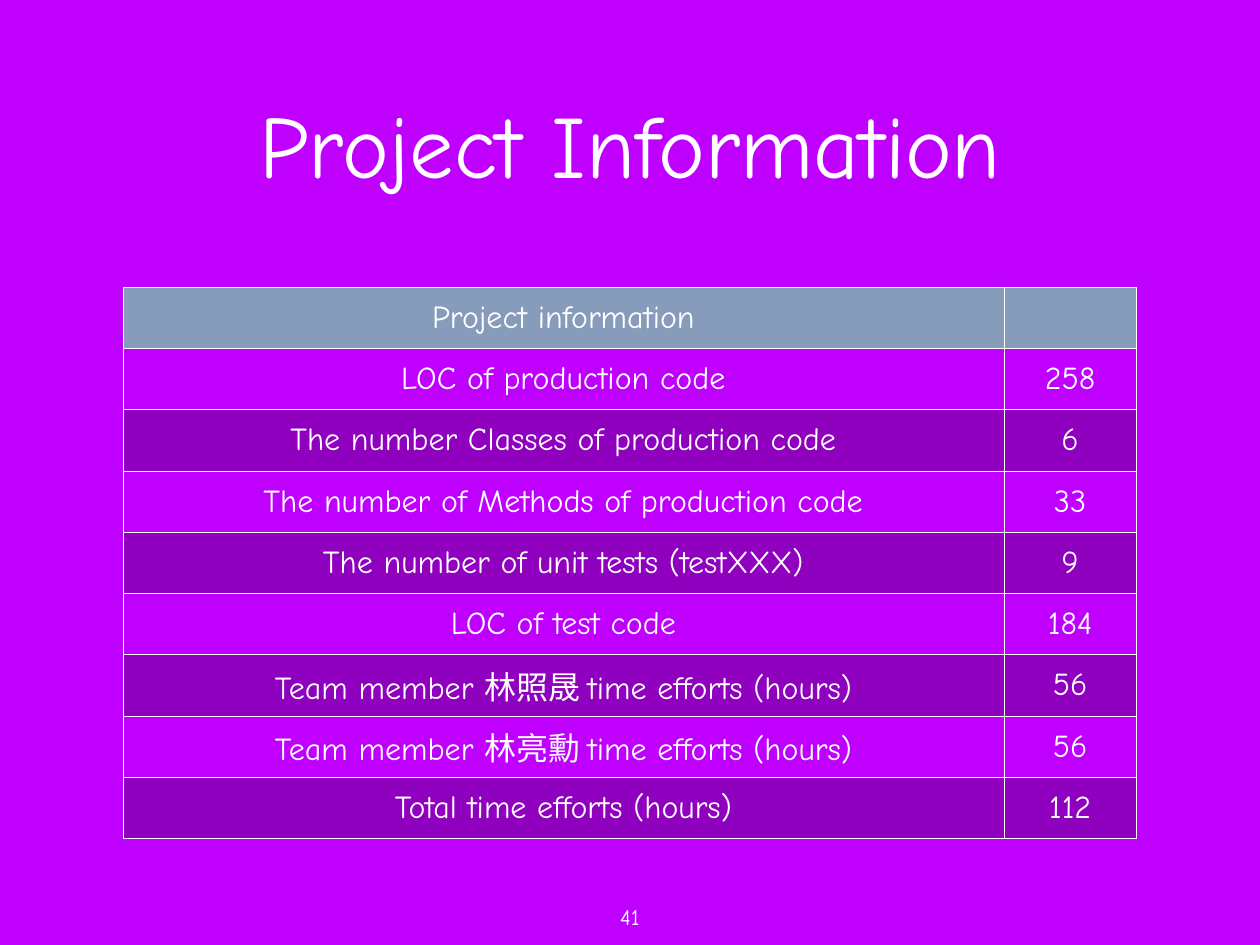
"""Build the project information slide with its table of code and effort figures."""
import lxml.etree
import pptx
import pptx.dml.color
import pptx.enum.text
import pptx.oxml
import pptx.oxml.ns
import pptx.util

Pt = pptx.util.Pt
RGB = pptx.dml.color.RGBColor.from_string
THEME = {
    "font": "Comic Neue",
    "background": "BF00FF",
    "text": "FFFFFF",
    "header": "879BBB",
    "band": "000000",
    "band_alpha": 25,
    "border": "FFFFFF",
    "border_alpha": 50,
    "title_size": 72,
    "table_size": 26,
    "number_size": 18,
}
MARGINS = dict.fromkeys(("margin_left", "margin_right", "margin_top", "margin_bottom"), Pt(4))
ANCHOR = pptx.enum.text.MSO_ANCHOR


def write(frame, text, size):
    paragraph = frame.paragraphs[0]
    paragraph.alignment = pptx.enum.text.PP_ALIGN.CENTER
    run = paragraph.add_run()
    run.text = text
    for name, value in {"name": THEME["font"], "size": Pt(size)}.items():
        setattr(run.font, name, value)
    run.font.color.rgb = RGB(THEME["text"])


def add_alpha(color, percent):
    alpha = lxml.etree.SubElement(color, pptx.oxml.ns.qn("a:alpha"))
    alpha.set("val", str(percent * 1000))


deck = pptx.Presentation()
deck.slide_width, deck.slide_height = Pt(1024), Pt(768)
slide = deck.slides.add_slide(deck.slide_layouts[6])
slide.background.fill.solid()
slide.background.fill.fore_color.rgb = RGB(THEME["background"])

captions = [
    ("Project Information", THEME["title_size"], (100, 16, 824, 200),
     {"word_wrap": True, "vertical_anchor": ANCHOR.MIDDLE}),
    ("41", THEME["number_size"], (494, 724, 36, 36),
     {"word_wrap": False, "vertical_anchor": ANCHOR.BOTTOM}),
]
for text, size, box, layout in captions:
    frame = slide.shapes.add_textbox(*map(Pt, box)).text_frame
    for name, value in {**MARGINS, **layout}.items():
        setattr(frame, name, value)
    write(frame, text, size)

measures = [
    ("Project information", ""),
    ("LOC of production code", "258"),
    ("The number Classes of production code", "6"),
    ("The number of Methods of production code", "33"),
    ("The number of unit tests (testXXX)", "9"),
    ("LOC of test code", "184"),
    ("Team member 林照晟 time efforts (hours)", "56"),
    ("Team member 林亮勳 time efforts (hours)", "56"),
    ("Total time efforts (hours)", "112"),
]
column_widths = (716, 107.5)
row_height = 49.8
table = slide.shapes.add_table(
    len(measures), 2, Pt(100), Pt(233.6),
    Pt(sum(column_widths)), Pt(row_height * len(measures))).table
for name, value in {"first_row": False, "horz_banding": False}.items():
    setattr(table, name, value)
for column, width in zip(table.columns, column_widths):
    column.width = Pt(width)

for row_index, measure in enumerate(measures):
    table.rows[row_index].height = Pt(row_height)
    for column_index, text in enumerate(measure):
        cell = table.cell(row_index, column_index)
        for name, value in {**MARGINS, "vertical_anchor": ANCHOR.MIDDLE}.items():
            setattr(cell, name, value)
        write(cell.text_frame, text, THEME["table_size"])

        properties = cell._tc.get_or_add_tcPr()
        if row_index % 2:
            cell.fill.background()
        else:
            cell.fill.solid()
            cell.fill.fore_color.rgb = RGB(THEME["band" if row_index else "header"])
            if row_index:
                add_alpha(properties.find(".//" + pptx.oxml.ns.qn("a:srgbClr")), THEME["band_alpha"])

        for position, side in enumerate(("lnL", "lnR", "lnT", "lnB")):
            border = pptx.oxml.parse_xml(
                f'<a:{side} {pptx.oxml.ns.nsdecls("a")} w="{Pt(1)}"><a:solidFill>'
                f'<a:srgbClr val="{THEME["border"]}"/></a:solidFill>'
                f'<a:prstDash val="solid"/></a:{side}>')
            add_alpha(border[0][0], THEME["border_alpha"])
            properties.insert(position, border)

deck.save("out.pptx")
